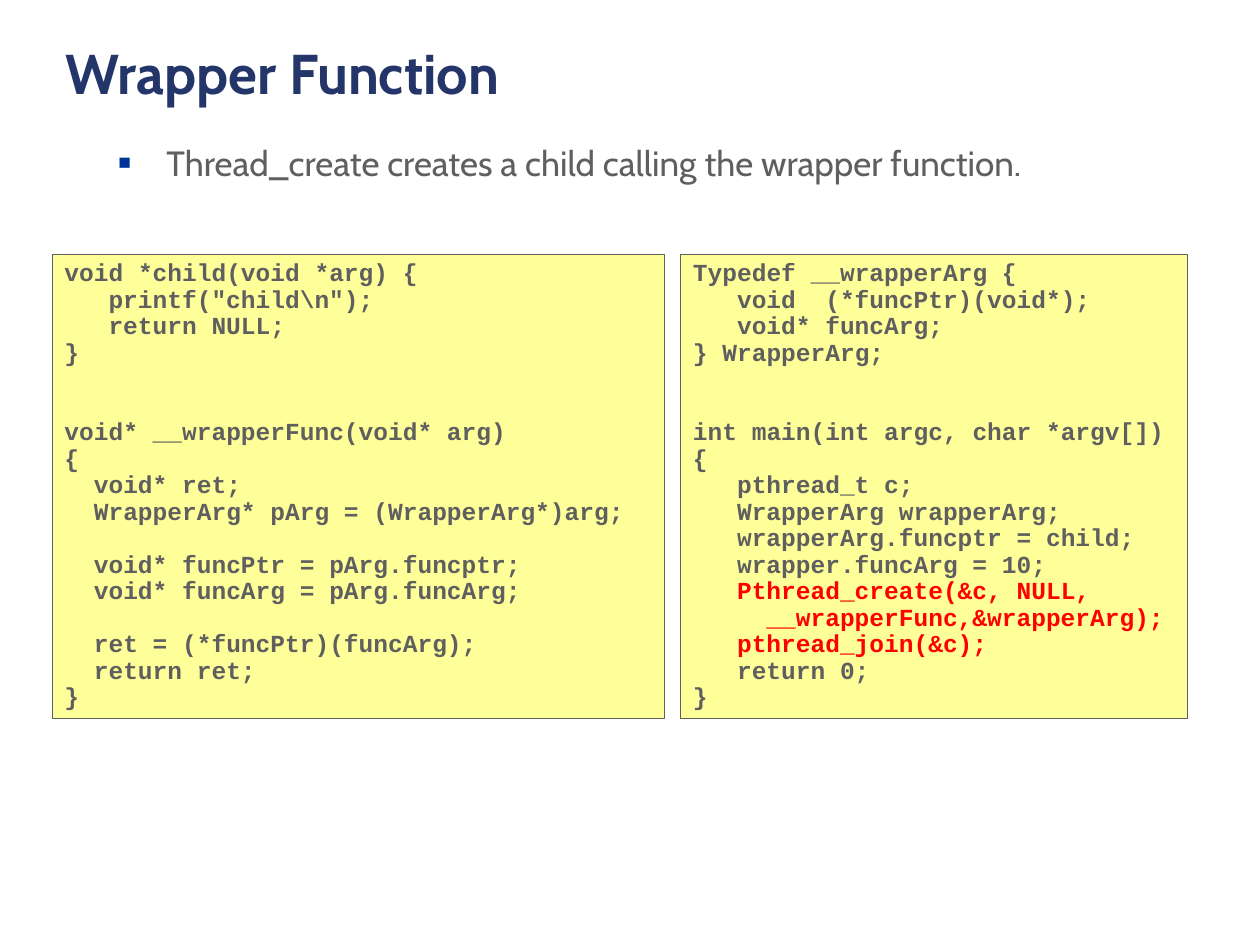
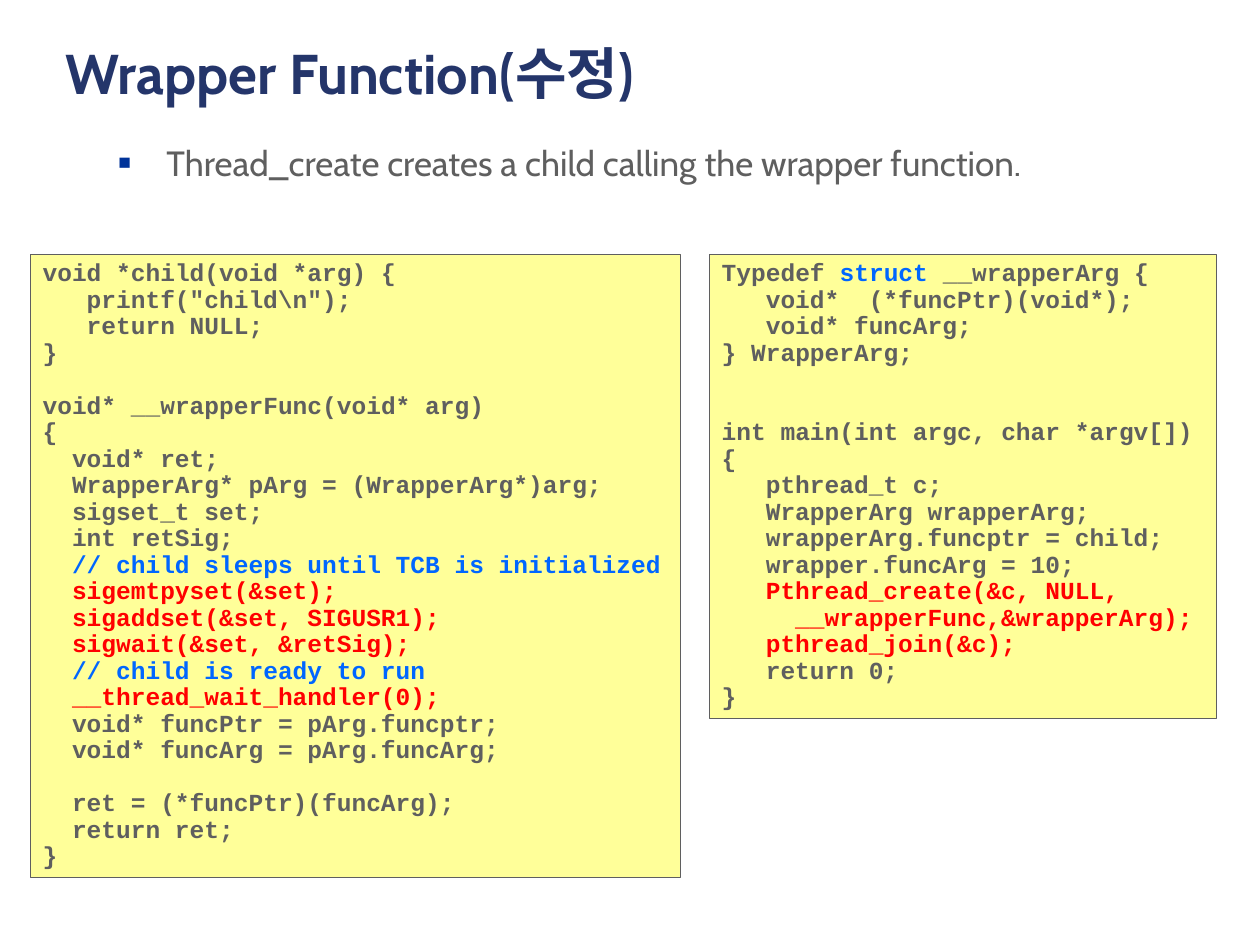
"""Build two slides that compare versions of a thread wrapper function."""
from dataclasses import dataclass

import lxml.etree
import pptx
import pptx.dml.color
import pptx.enum.shapes
import pptx.enum.text
import pptx.oxml.ns
import pptx.util

Cm = pptx.util.Cm
Pt = pptx.util.Pt

NAVY = "24356A"
GRAY = "5F5F5F"
BULLET_BLUE = "003399"
CODE_BLUE = "0066FF"
CODE_RED = "FF0000"
CODE_YELLOW = "FFFF99"

TEXT_FONT = "Cabin"
CODE_FONT = "Courier New"
CODE_SIZE = 14
CHARACTER_WIDTH = Pt(CODE_SIZE * 0.6)
CODE_LINE_HEIGHT = Pt(15.15)
CODE_TOP = Cm(5.13)
BULLET_INDENT = Cm(0.97)

BULLET_TEXT = "Thread_create creates a child calling the wrapper function."

ACCENTS = {
    "struct": CODE_BLUE,
    "// child sleeps until TCB is initialized": CODE_BLUE,
    "// child is ready to run": CODE_BLUE,
    "sigemtpyset(&set);": CODE_RED,
    "sigaddset(&set, SIGUSR1);": CODE_RED,
    "sigwait(&set, &retSig);": CODE_RED,
    "__thread_wait_handler(0);": CODE_RED,
    "Pthread_create(&c, NULL,": CODE_RED,
    "__wrapperFunc,&wrapperArg);": CODE_RED,
    "pthread_join(&c);": CODE_RED,
}

CHILD = r"""void *child(void *arg) {
   printf("child\n");
   return NULL;
}
"""

WRAPPER_START = """
void* __wrapperFunc(void* arg)
{
  void* ret;
  WrapperArg* pArg = (WrapperArg*)arg;
"""

SIGNAL_WAIT = """  sigset_t set;
  int retSig;
  // child sleeps until TCB is initialized
  sigemtpyset(&set);
  sigaddset(&set, SIGUSR1);
  sigwait(&set, &retSig);
  // child is ready to run
  __thread_wait_handler(0);
"""

WRAPPER_END = """  void* funcPtr = pArg.funcptr;
  void* funcArg = pArg.funcArg;

  ret = (*funcPtr)(funcArg);
  return ret;
}
"""

TYPE_START = """Typedef __wrapperArg {
   void  (*funcPtr)(void*);
"""

TYPE_START_REVISED = """Typedef struct __wrapperArg {
   void*  (*funcPtr)(void*);
"""

MAIN = """   void* funcArg;
} WrapperArg;


int main(int argc, char *argv[])
{
   pthread_t c;
   WrapperArg wrapperArg;
   wrapperArg.funcptr = child;
   wrapper.funcArg = 10;
   Pthread_create(&c, NULL,
     __wrapperFunc,&wrapperArg);
   pthread_join(&c);
   return 0;
}
"""


@dataclass(frozen=True)
class CodeBox:
    """A yellow box with a code listing."""

    left: pptx.util.Length
    width: pptx.util.Length
    height: pptx.util.Length
    code: str


@dataclass(frozen=True)
class CodeSlide:
    """A title, the height of the bullet area and the code boxes below it."""

    title: str
    bullet_height: pptx.util.Length
    boxes: tuple[CodeBox, ...]


SLIDES = (
    CodeSlide("Wrapper Function", Cm(3.86), (
        CodeBox(Cm(1.05), Cm(12.34), Cm(9.35),
                CHILD + "\n" + WRAPPER_START + "\n" + WRAPPER_END),
        CodeBox(Cm(13.72), Cm(10.21), Cm(9.35), TYPE_START + MAIN),
    )),
    CodeSlide("Wrapper Function(수정)", Cm(1.6), (
        CodeBox(Cm(0.61), Cm(13.11), Cm(12.55),
                CHILD + WRAPPER_START + SIGNAL_WAIT + WRAPPER_END),
        CodeBox(Cm(14.3), Cm(10.21), Cm(9.35), TYPE_START_REVISED + MAIN),
    )),
)


def rgb(value: str) -> pptx.dml.color.RGBColor:
    """Turn a hex string into a colour."""
    return pptx.dml.color.RGBColor.from_string(value)


def format_runs(paragraph, font: str, size: float, color: str, bold: bool) -> None:
    """Give every run of a paragraph the same font."""
    for run in paragraph.runs:
        run.font.name = font
        run.font.size = Pt(size)
        run.font.bold = bold
        run.font.color.rgb = rgb(color)


def place(shape, left: int, top: int, width: int, height: int) -> None:
    """Move a placeholder and keep its text at the top without shrinking."""
    shape.left, shape.top, shape.width, shape.height = left, top, width, height
    shape.text_frame.vertical_anchor = pptx.enum.text.MSO_ANCHOR.TOP
    shape.text_frame.auto_size = pptx.enum.text.MSO_AUTO_SIZE.NONE


def set_indent(paragraph, left: int, first_line: int = 0) -> None:
    """Set the left margin and first-line indent of a paragraph."""
    properties = paragraph._p.get_or_add_pPr()
    properties.set("marL", str(int(left)))
    properties.set("indent", str(int(first_line)))


def add_square_bullet(paragraph) -> None:
    """Put a small square bullet before a paragraph."""
    set_indent(paragraph, BULLET_INDENT, -BULLET_INDENT)
    properties = paragraph._p.get_or_add_pPr()
    qn = pptx.oxml.ns.qn
    color = lxml.etree.SubElement(properties, qn("a:buClr"))
    lxml.etree.SubElement(color, qn("a:srgbClr"), val=BULLET_BLUE)
    lxml.etree.SubElement(properties, qn("a:buSzPct"), val="60000")
    lxml.etree.SubElement(properties, qn("a:buFont"), typeface="Arial")
    lxml.etree.SubElement(properties, qn("a:buChar"), char="■")


def add_title(slide, text: str) -> None:
    """Fill the title placeholder."""
    title = slide.shapes.title
    place(title, Cm(1.07), Cm(0.64), Cm(22.94), Cm(3.1))
    title.text_frame.text = text
    paragraph = title.text_frame.paragraphs[0]
    paragraph.alignment = pptx.enum.text.PP_ALIGN.LEFT
    format_runs(paragraph, TEXT_FONT, 32, NAVY, True)


def add_bullet(slide, height: pptx.util.Length) -> None:
    """Fill the body placeholder with the bullet line."""
    body = slide.placeholders[1]
    place(body, Cm(2.13), Cm(2.72), Cm(22.96), height)
    body.text_frame.text = BULLET_TEXT
    paragraph = body.text_frame.paragraphs[0]
    paragraph.space_before = Pt(5)
    add_square_bullet(paragraph)
    format_runs(paragraph, TEXT_FONT, 20, GRAY, False)


def split_accent(line: str) -> list[tuple[str, str]]:
    """Split a code line into pieces of text with their colours."""
    for accent, color in ACCENTS.items():
        if accent in line:
            before, match, after = line.partition(accent)
            pieces = [(before, GRAY), (match, color), (after, GRAY)]
            return [piece for piece in pieces if piece[0]]
    return [(line, GRAY)]


def write_code(text_frame, code: str) -> None:
    """Write a listing, with indents and spacing made by paragraph settings."""
    blank_lines = 0
    paragraph = None
    for line in code.splitlines():
        if not line:
            blank_lines += 1
            continue
        paragraph = text_frame.add_paragraph() if paragraph else text_frame.paragraphs[0]
        text = line.lstrip()
        paragraph.alignment = pptx.enum.text.PP_ALIGN.LEFT
        paragraph.line_spacing = 0.9
        paragraph.space_before = CODE_LINE_HEIGHT * blank_lines
        set_indent(paragraph, CHARACTER_WIDTH * (len(line) - len(text)))
        pieces = split_accent(text)
        for piece, _ in pieces:
            paragraph.add_run().text = piece
        format_runs(paragraph, CODE_FONT, CODE_SIZE, GRAY, True)
        for run, (_, color) in zip(paragraph.runs, pieces):
            run.font.color.rgb = rgb(color)
        blank_lines = 0


def add_code_box(slide, box: CodeBox) -> None:
    """Draw a code box with its listing."""
    shape = slide.shapes.add_shape(
        pptx.enum.shapes.MSO_SHAPE.RECTANGLE, box.left, CODE_TOP, box.width, box.height)
    shape.shadow.inherit = False
    shape.fill.solid()
    shape.fill.fore_color.rgb = rgb(CODE_YELLOW)
    shape.line.color.rgb = rgb(GRAY)
    shape.line.width = Pt(0.25)
    text_frame = shape.text_frame
    text_frame.word_wrap = True
    text_frame.vertical_anchor = pptx.enum.text.MSO_ANCHOR.TOP
    text_frame.auto_size = pptx.enum.text.MSO_AUTO_SIZE.SHAPE_TO_FIT_TEXT
    write_code(text_frame, box.code)


def main() -> None:
    """Build and save the presentation."""
    presentation = pptx.Presentation()
    presentation.slide_width = Cm(25.4)
    presentation.slide_height = Cm(19.05)
    for content in SLIDES:
        slide = presentation.slides.add_slide(presentation.slide_layouts[1])
        add_title(slide, content.title)
        add_bullet(slide, content.bullet_height)
        for box in content.boxes:
            add_code_box(slide, box)
    presentation.save("out.pptx")


if __name__ == "__main__":
    main()
